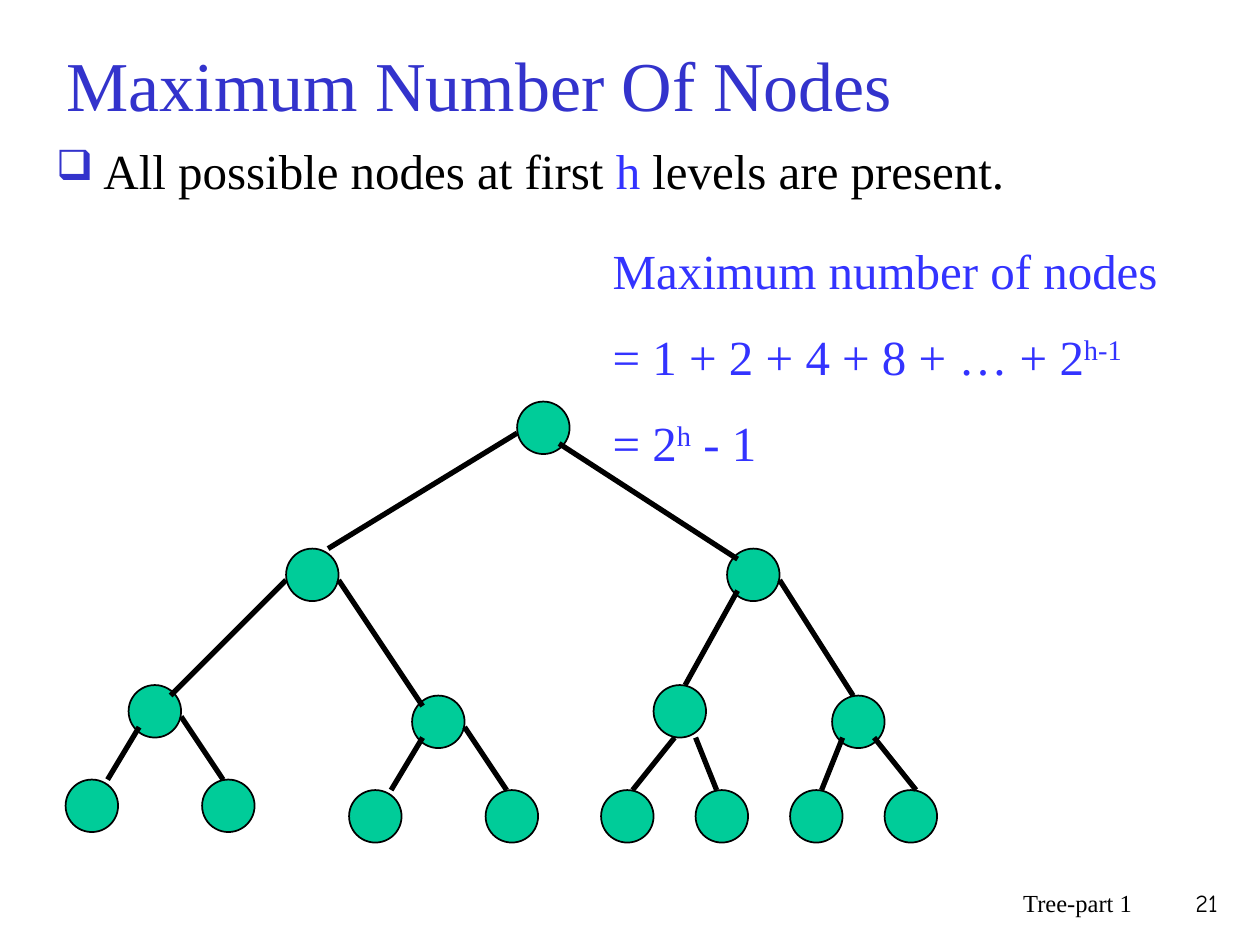
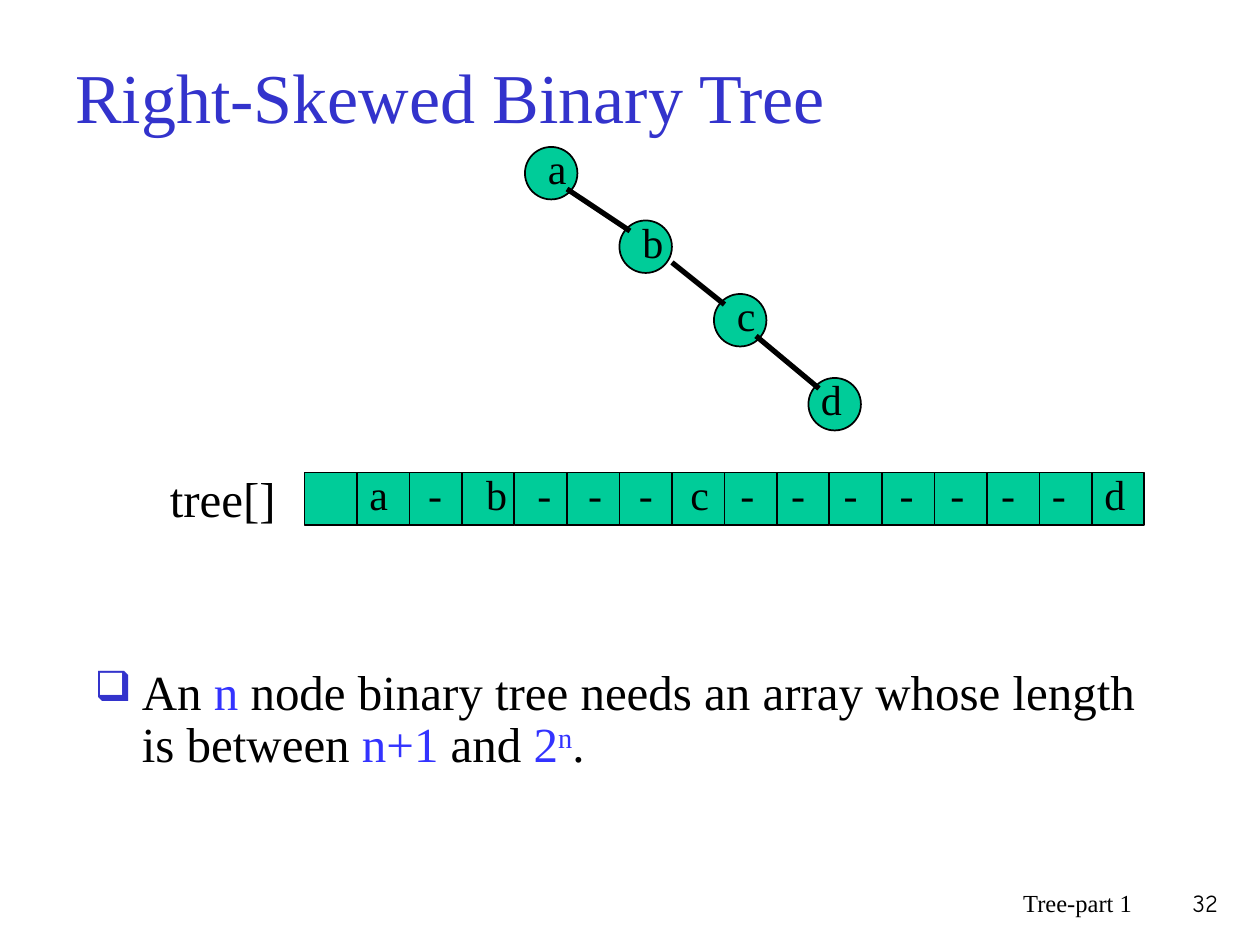
from lxml.etree import SubElement
from pptx import Presentation
from pptx.dml.color import RGBColor
from pptx.enum.shapes import MSO_CONNECTOR as CONNECTOR, MSO_SHAPE as SHAPE
from pptx.enum.text import MSO_ANCHOR as ANCHOR, PP_ALIGN as ALIGN
from pptx.oxml.ns import qn
from pptx.util import Pt

BLACK = RGBColor(0x00, 0x00, 0x00)
TITLE_BLUE = RGBColor(0x33, 0x33, 0xCC)
ACCENT_BLUE = RGBColor(0x33, 0x33, 0xFF)
GREEN = RGBColor(0x00, 0xCC, 0x99)
SERIF = "Times New Roman"
NUMBER_FONT = "Comic Neue"

CELL = 30  # side of an array cell and diameter of a tree node
GRID = 6   # the trees are laid out on a 6 pt grid

# Full tree in grid units: node corners, then edges as start and end points
FULL_NODES = [
    (43, 0),
    (21, 14), (63, 14),
    (6, 27), (33, 28), (56, 27), (73, 28),
    (0, 36), (13, 36), (27, 37), (40, 37), (51, 37), (60, 37), (69, 37), (78, 37),
]
FULL_EDGES = [
    (43, 3, 25, 14), (47, 4, 64, 15),
    (21, 17, 10, 28), (26, 17, 34, 29), (64, 18, 59, 27), (68, 17, 75, 28),
    (7, 31, 4, 36), (11, 30, 15, 36), (34, 32, 31, 37), (38, 31, 42, 37),
    (58, 32, 54, 37), (60, 32, 62, 37), (74, 32, 72, 37), (77, 32, 81, 37),
]

# Skewed tree in grid units
SKEWED_NODES = [(0, 0), (9, 7), (18, 14), (27, 22)]
SKEWED_EDGES = [(4, 4, 10, 8), (14, 11, 19, 15), (22, 18, 28, 23)]
SKEWED_LABELS = [("a", 6), ("b", 6), ("c", 6), ("d", 0)]  # letter, shift from node

# Array entries after the empty cell 0, with each one's shift from its cell
ARRAY_ENTRIES = "a-b---c-------d"
ENTRY_SHIFTS = [0, 3.6, 6.7, 6, 5, 4, 3.4, 2, 1, 1, 3, 2, 1, 0, 0]


def add_text(slide, box, paragraphs, size=28, color=BLACK, font=SERIF, align=None,
             anchor=ANCHOR.TOP, wrap=True, gap=0, line_spacing=None, bullet=False):
    """Place text; a paragraph is a string or a list of (text, color, raised) runs."""
    frame = slide.shapes.add_textbox(*map(Pt, box)).text_frame
    frame.word_wrap = wrap
    frame.vertical_anchor = anchor
    for index, content in enumerate(paragraphs):
        paragraph = frame.add_paragraph() if index else frame.paragraphs[0]
        paragraph.alignment = align
        if index:
            paragraph.space_before = Pt(gap)
        if line_spacing:
            paragraph.line_spacing = line_spacing
        if bullet:
            add_bullet(paragraph)
        runs = [(content, color, False)] if isinstance(content, str) else content
        for text, run_color, raised in runs:
            run = paragraph.add_run()
            run.text = text
            run.font.size, run.font.name = Pt(size), font
            run.font.color.rgb = run_color
            if raised:
                run.font._element.set("baseline", "30000")


def add_bullet(paragraph):
    properties = paragraph._p.get_or_add_pPr()
    properties.set("marL", str(Pt(27)))
    properties.set("indent", str(-Pt(27)))
    color = SubElement(properties, qn("a:buClr"))
    SubElement(color, qn("a:srgbClr"), val=str(TITLE_BLUE))
    SubElement(properties, qn("a:buSzPct"), val="85000")
    SubElement(properties, qn("a:buChar"), char="❑")


def add_cell(slide, kind, left, top):
    """Add one green tree node or array cell."""
    shape = slide.shapes.add_shape(kind, Pt(left), Pt(top), Pt(CELL), Pt(CELL))
    shape.shadow.inherit = False
    shape.fill.solid()
    shape.fill.fore_color.rgb = GREEN
    shape.line.color.rgb = BLACK
    shape.line.width = Pt(1)


def add_edge(slide, *ends):
    edge = slide.shapes.add_connector(CONNECTOR.STRAIGHT, *map(Pt, ends))
    edge.line.color.rgb = BLACK
    edge.line.width = Pt(3)
    SubElement(edge._element.spPr, qn("a:effectLst"))


def add_tree(slide, left, top, nodes, edges, labels=()):
    for column, row in nodes:
        add_cell(slide, SHAPE.OVAL, left + column * GRID, top + row * GRID)
    for (column, row), (letter, shift) in zip(nodes, labels):
        box = (left + column * GRID + shift, top + row * GRID - 6, CELL - shift, 36)
        add_text(slide, box, [letter], size=24)
    for x1, y1, x2, y2 in edges:
        add_edge(slide, left + x1 * GRID, top + y1 * GRID,
                 left + x2 * GRID, top + y2 * GRID)


def add_array(slide, left, top):
    """Add the name of the array, its row of cells and their entries."""
    add_text(slide, (left, top, 90, 41), ["tree[]"])
    first = left + 84
    for index in range(len(ARRAY_ENTRIES) + 1):
        add_cell(slide, SHAPE.RECTANGLE, first + index * CELL, top + 6)
    for index, (entry, shift) in enumerate(zip(ARRAY_ENTRIES, ENTRY_SHIFTS), 1):
        width = 22 if entry == "-" else 26
        box = (first + index * CELL + shift, top, width, 36)
        add_text(slide, box, [entry], size=24, wrap=False)


def add_base_slide(presentation, title, title_box, number):
    """Add a blank slide with its title and footer."""
    slide = presentation.slides.add_slide(presentation.slide_layouts[6])
    add_text(slide, title_box, [title], size=40, color=TITLE_BLUE, anchor=ANCHOR.MIDDLE)
    add_text(slide, (426, 504, 228, 36), ["Tree-part 1"], size=14, align=ALIGN.RIGHT)
    add_text(slide, (654, 504, 49, 36), [number], size=14, font=NUMBER_FONT,
             align=ALIGN.RIGHT)
    return slide


def build_maximum_nodes(presentation):
    slide = add_base_slide(presentation, "Maximum Number Of Nodes",
                           (31, 15, 612, 66), "21")
    # Statement
    add_text(slide, (25, 77, 672, 84), [[
        ("All possible nodes at first ", BLACK, False),
        ("h", ACCENT_BLUE, False),
        (" levels are present.", BLACK, False),
    ]], bullet=True)
    # Full tree
    add_tree(slide, 37.5, 229.5, FULL_NODES, FULL_EDGES)
    # Formula
    add_text(slide, (343, 134, 348, 142), [
        "Maximum number of nodes",
        [("= 1 + 2 + 4 + 8 + … + 2", ACCENT_BLUE, False), ("h-1", ACCENT_BLUE, True)],
        [("= 2", ACCENT_BLUE, False), ("h", ACCENT_BLUE, True),
         (" - 1", ACCENT_BLUE, False)],
    ], color=ACCENT_BLUE, gap=15.5)


def build_skewed_tree(presentation):
    slide = add_base_slide(presentation, "Right-Skewed Binary Tree",
                           (36, 21.5, 648, 66), "32")
    # Statement
    add_text(slide, (47, 378, 612, 72), [[
        ("An ", BLACK, False),
        ("n", ACCENT_BLUE, False),
        (" node binary tree needs an array whose length is between ", BLACK, False),
        ("n+1", ACCENT_BLUE, False),
        (" and ", BLACK, False),
        ("2", ACCENT_BLUE, False),
        ("n", ACCENT_BLUE, True),
        (".", BLACK, False),
    ]], line_spacing=0.9, bullet=True)
    # Tree and its array
    add_tree(slide, 300, 84, SKEWED_NODES, SKEWED_EDGES, SKEWED_LABELS)
    add_array(slide, 90, 264)


presentation = Presentation()
presentation.slide_width, presentation.slide_height = Pt(720), Pt(540)
build_maximum_nodes(presentation)
build_skewed_tree(presentation)
presentation.save("out.pptx")
